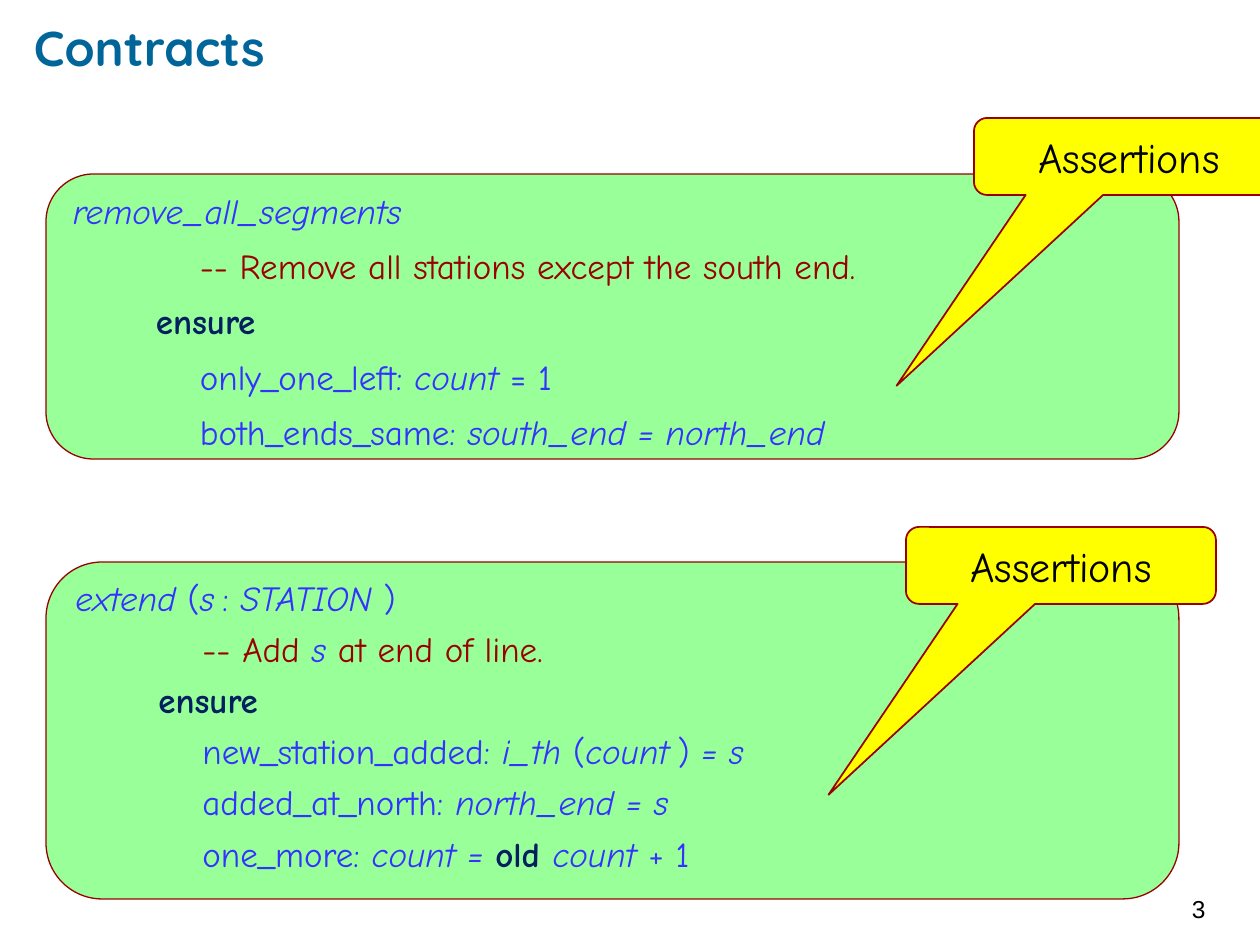
from dataclasses import dataclass

import pptx
import pptx.dml.color
import pptx.enum.shapes
import pptx.enum.text
import pptx.util

SCALE = 914400 // 126
SHAPE = pptx.enum.shapes.MSO_SHAPE
ANCHOR = pptx.enum.text.MSO_ANCHOR
ALIGN = pptx.enum.text.PP_ALIGN
HAND = "Comic Neue"
BLUE, RED, NAVY = "3333FF", "990000", "002060"


@dataclass
class Style:
    color: str
    italic: bool = False
    bold: bool = False
    size: int = 20


@dataclass
class Line:
    indent: int
    words: list[tuple[str, Style]]


@dataclass
class Panel:
    box: tuple[int, int, int, int]
    space: float
    lines: list[Line]


CODE = Style(BLUE)
NAME = Style(BLUE, italic=True)
NOTE = Style(RED)
KEY = Style(NAVY, bold=True)
GAP = Style(BLUE, size=14)
MID, DEEP = 83, 127

PANELS = [
    Panel((46, 174, 1133, 285), 0.9, [
        Line(0, [("remove_all_segments", NAME)]),
        Line(DEEP, [("-- Remove all stations except the south end.", NOTE)]),
        Line(MID, [("ensure", KEY)]),
        Line(DEEP, [("only_one_left:", CODE), (" count ", NAME), ("= 1", CODE)]),
        Line(DEEP, [("both_ends_same: ", CODE), ("south_end = north_end", NAME)]),
    ]),
    Panel((46, 562, 1133, 337), 0.8, [
        Line(0, [("extend ", NAME), ("(", CODE), ("s", NAME), (" ", GAP),
                 (":", CODE), (" STATION ", NAME), (")", CODE)]),
        Line(DEEP, [("-- Add ", NOTE), ("s", NAME), (" at end of line.", NOTE)]),
        Line(MID, [("ensure", KEY)]),
        Line(DEEP, [("new_station_added:", CODE), (" i_th ", NAME), ("(", CODE),
                    ("count", NAME), (" ", GAP), (")", CODE), (" = s", NAME)]),
        Line(DEEP, [("added_at_north:", CODE), (" north_end = s", NAME)]),
        Line(DEEP, [("one_more: ", CODE), ("count = ", NAME), ("old ", KEY),
                    ("count ", NAME), ("+ 1", CODE)]),
    ]),
]
CALLS = [(974, 118), (906, 527)]


def px(n: int) -> int:
    return n * SCALE


def rgb(code: str) -> pptx.dml.color.RGBColor:
    return pptx.dml.color.RGBColor.from_string(code)


def dress(run, face: str, style: Style) -> None:
    font = run.font
    font.name = face
    font.size = pptx.util.Pt(style.size)
    font.bold = style.bold
    font.italic = style.italic
    font.color.rgb = rgb(style.color)


def setup(frame, side: int, top: int, anchor) -> None:
    frame.word_wrap = True
    frame.auto_size = pptx.enum.text.MSO_AUTO_SIZE.NONE
    frame.margin_left = frame.margin_right = px(side)
    frame.margin_top = frame.margin_bottom = px(top)
    frame.vertical_anchor = anchor


def label(frame, text: str, face: str, style: Style, align) -> None:
    frame.text = text
    par = frame.paragraphs[0]
    par.alignment = align
    dress(par.runs[0], face, style)


def block(slide, kind, box: tuple[int, int, int, int], fill: str, width: float):
    shape = slide.shapes.add_shape(kind, *map(px, box))
    shape.shadow.inherit = False
    shape.fill.solid()
    shape.fill.fore_color.rgb = rgb(fill)
    shape.line.color.rgb = rgb(RED)
    shape.line.width = pptx.util.Pt(width)
    return shape


def panel(slide, data: Panel) -> None:
    shape = block(slide, SHAPE.ROUNDED_RECTANGLE, data.box, "99FF99", 0.75)
    frame = shape.text_frame
    setup(frame, 13, 6, ANCHOR.TOP)
    for i, line in enumerate(data.lines):
        par = frame.add_paragraph() if i else frame.paragraphs[0]
        par.alignment = ALIGN.LEFT
        par.line_spacing = data.space
        par.space_before = pptx.util.Pt(10 if i else 0)
        par._p.get_or_add_pPr().set("marL", str(px(line.indent)))
        for text, style in line.words:
            run = par.add_run()
            run.text = text
            dress(run, HAND, style)


def call(slide, left: int, top: int) -> None:
    shape = block(slide, SHAPE.ROUNDED_RECTANGULAR_CALLOUT,
                  (left, top, 310, 77), "FFFF00", 1)
    for i, value in enumerate((-0.75, 2.98, 0.17)):
        shape.adjustments[i] = value
    setup(shape.text_frame, 0, 6, ANCHOR.MIDDLE)
    label(shape.text_frame, "Assertions", HAND, Style("000000", size=24), ALIGN.CENTER)


deck = pptx.Presentation()
deck.slide_width, deck.slide_height = px(1260), px(945)
slide = deck.slides.add_slide(deck.slide_layouts[5])

# Title
title = slide.shapes.title
title.left, title.top, title.width, title.height = map(px, (34, 17, 1095, 60))
setup(title.text_frame, 0, 0, ANCHOR.MIDDLE)
label(title.text_frame, "Contracts", "Quicksand",
      Style("006699", bold=True, size=28), ALIGN.LEFT)

# Code panels, then callouts over them
for data in PANELS:
    panel(slide, data)
for left, top in CALLS:
    call(slide, left, top)

# Page number
page = slide.shapes.add_textbox(*map(px, (1179, 873, 76, 72)))
setup(page.text_frame, 13, 13, ANCHOR.MIDDLE)
label(page.text_frame, "3", "Arial", Style("000000", size=14), ALIGN.LEFT)

deck.save("out.pptx")
